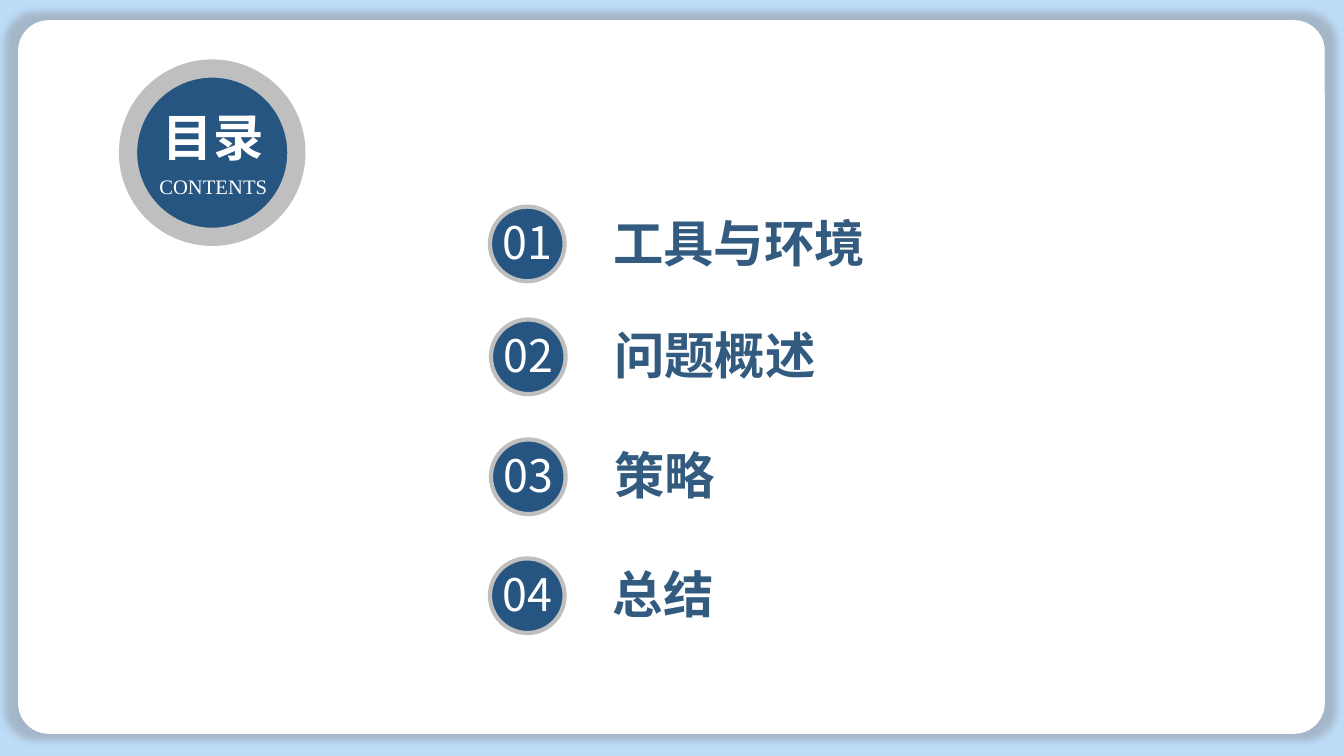
from lxml.etree import SubElement
from pptx import Presentation
from pptx.dml.color import RGBColor
from pptx.enum.shapes import MSO_SHAPE
from pptx.enum.text import MSO_ANCHOR, MSO_AUTO_SIZE, PP_ALIGN
from pptx.oxml import parse_xml
from pptx.oxml.ns import nsdecls, qn
from pptx.util import Inches, Pt

COLORS = {"sky": "BDDCF8", "card": "FFFFFF", "navy": "255580",
          "ring": "BFBFBF", "heading": "325B7F", "shadow": "808080"}
SANS, SERIF = "Noto Sans CJK SC", "Times New Roman"
ENTRIES = [("工具与环境", 4.86, 2.05, 2.95), ("问题概述", 4.87, 3.17, 2.41),
           ("策略", 4.87, 4.36, 1.45), ("总结", 4.86, 5.54, 3.36)]


class Deck:
    """Holds the colours, fonts and current slide, and draws its elements."""

    def __init__(self):
        self.prs = Presentation()
        self.prs.slide_width, self.prs.slide_height = Inches(13.33), Inches(7.5)
        self.s = self.prs.slides.add_slide(self.prs.slide_layouts[5])
        self.fill(self.s.background.fill, "sky")

    def fill(self, fill, color):
        fill.solid()
        fill.fore_color.rgb = RGBColor.from_string(COLORS[color])

    def card(self, x, y, w, h):
        sp = self.s.shapes.add_shape(
            MSO_SHAPE.ROUNDED_RECTANGLE, Inches(x), Inches(y), Inches(w), Inches(h))
        sp.adjustments[0] = 0.043
        self.fill(sp.fill, "card")
        sp.line.fill.background()
        sp._element.spPr.append(parse_xml(
            f'<a:effectLst {nsdecls("a")}><a:outerShdw blurRad="{Pt(5)}" dist="0" dir="0" '
            'sx="102000" sy="102000" algn="ctr" rotWithShape="0">'
            f'<a:srgbClr val="{COLORS["shadow"]}"><a:alpha val="40000"/></a:srgbClr>'
            '</a:outerShdw></a:effectLst>'))

    def circle(self, x, y, size, border):
        sp = self.s.shapes.add_shape(
            MSO_SHAPE.OVAL, Inches(x), Inches(y), Inches(size), Inches(size))
        sp.shadow.inherit = False
        self.fill(sp.fill, "navy")
        self.fill(sp.line.fill, "ring")
        sp.line.width = Pt(border)

    def add_run(self, sp, text, size, font, color, bold=False,
                align=PP_ALIGN.CENTER, inset=(0.1, 0.05)):
        tf = sp.text_frame
        tf.word_wrap = True
        tf.auto_size = MSO_AUTO_SIZE.SHAPE_TO_FIT_TEXT
        tf.vertical_anchor = MSO_ANCHOR.TOP
        tf.margin_left = tf.margin_right = Inches(inset[0])
        tf.margin_top = tf.margin_bottom = Inches(inset[1])
        p = tf.paragraphs[0]
        p.alignment = align
        r = p.add_run()
        r.text = text
        r.font.size, r.font.name, r.font.bold = Pt(size), font, bold
        self.fill(r.font.fill, color)
        SubElement(r.font._element, qn("a:ea"), typeface=SANS)

    def title(self, text, x, y, w, h):
        sp = self.s.shapes.title
        sp.left, sp.top, sp.width, sp.height = map(Inches, (x, y, w, h))
        self.s.shapes._spTree.append(sp._element)
        self.add_run(sp, text, 36, SANS, "card", True)

    def text(self, text, x, y, w, h, *style, **options):
        sp = self.s.shapes.add_textbox(Inches(x), Inches(y), Inches(w), Inches(h))
        self.add_run(sp, text, *style, **options)

    def entry(self, number, text, x, y, w):
        self.text(text, x + 1.09, y - 0.02, w, 0.73, 36, SERIF, "heading",
                  bold=True, align=PP_ALIGN.LEFT, inset=(0.13, 0.07))
        self.circle(x, y, 0.74, 3)
        self.text(f"{number:02d}", x - 0.01, y + 0.03, 0.77, 0.63, 32, SANS, "card")


def main():
    deck = Deck()
    deck.card(0.18, 0.2, 12.96, 7.08)
    deck.circle(1.27, 0.68, 1.67, 13)
    deck.title("目录", 1.37, 1, 1.49, 0.7)
    deck.text("CONTENTS", 1.32, 1.68, 1.59, 0.34, 14.7, SERIF, "card")
    for number, (text, x, y, w) in enumerate(ENTRIES, 1):
        deck.entry(number, text, x, y, w)
    deck.prs.save("out.pptx")


if __name__ == "__main__":
    main()
